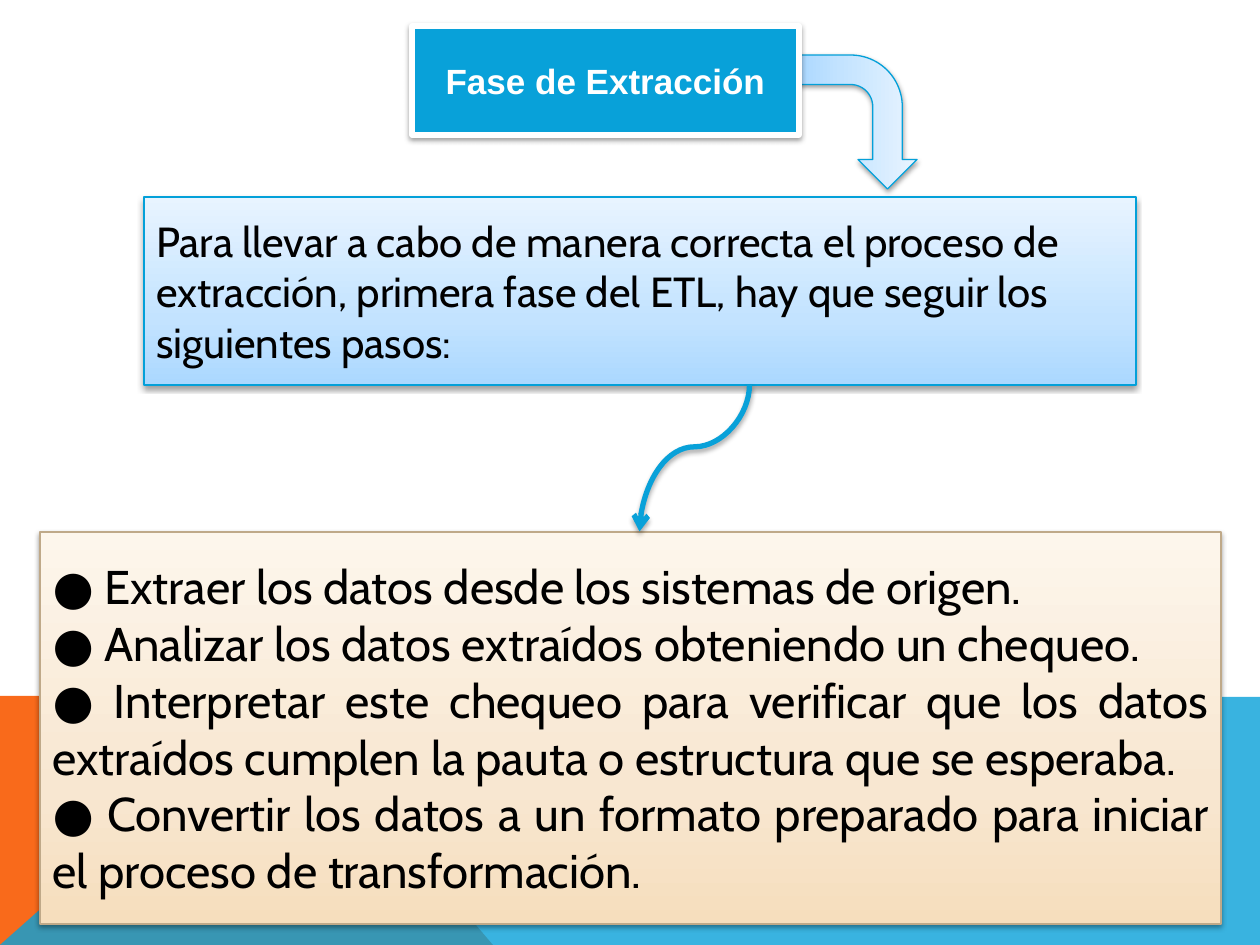
from dataclasses import dataclass

from lxml.etree import SubElement
from pptx import Presentation
from pptx.dml.color import RGBColor
from pptx.enum.shapes import MSO_CONNECTOR, MSO_SHAPE
from pptx.enum.text import MSO_ANCHOR, MSO_AUTO_SIZE, PP_ALIGN
from pptx.oxml.ns import qn
from pptx.util import Emu, Pt

EMU_PER_PX = 914400 / 126


@dataclass(frozen=True)
class Theme:
    blue: str = "08A1D9"
    blue_line: str = "03A0D9"
    orange: str = "F96A1B"
    tan_line: str = "BFA989"
    white: str = "FFFFFF"
    black: str = "000000"
    blue_gradient: tuple = ((0, "ABD8FF"), (35, "C3E3FF"), (100, "E8F4FF"))
    sand_gradient: tuple = ((0, "F6DEBD"), (35, "F8E7D1"), (100, "FDF6EC"))
    heading_font: str = "Arial"
    body_font: str = "Cabin"
    heading_size: int = 20
    intro_size: int = 24
    list_size: int = 27
    thin: float = 0.75
    thick: float = 3


THEME = Theme()

HEADING = "Fase de Extracción"
INTRO = ("Para llevar a cabo de manera correcta el proceso de extracción, "
         "primera fase del ETL, hay que seguir los siguientes pasos:")
STEPS = [
    "● Extraer los datos desde los sistemas de origen.",
    "● Analizar los datos extraídos obteniendo un chequeo.",
    "● Interpretar este chequeo para verificar que los datos extraídos "
    "cumplen la pauta o estructura que se esperaba.",
    "● Convertir los datos a un formato preparado para iniciar el proceso "
    "de transformación.",
]


def px(value):
    return Emu(round(value * EMU_PER_PX))


def add_xml(parent, tag, **attributes):
    return SubElement(parent, qn(tag), {k: str(v) for k, v in attributes.items()})


def place(shape, left, top, width, height):
    shape.left, shape.top = px(left), px(top)
    shape.width, shape.height = px(width), px(height)


def fill_solid(shape, color, opacity=100):
    shape.fill.solid()
    shape.fill.fore_color.rgb = RGBColor.from_string(color)
    if opacity < 100:
        color_element = shape.element.spPr.find(qn("a:solidFill"))[0]
        add_xml(color_element, "a:alpha", val=opacity * 1000)


def fill_gradient(shape, stops):
    """Run the stops from the bottom of the shape to its top."""
    shape.fill.gradient()
    gradient = shape.element.spPr.find(qn("a:gradFill"))
    for child in list(gradient):
        gradient.remove(child)
    gradient.set("rotWithShape", "1")
    stop_list = add_xml(gradient, "a:gsLst")
    for position, color in stops:
        stop = add_xml(stop_list, "a:gs", pos=position * 1000)
        add_xml(stop, "a:srgbClr", val=color)
    add_xml(gradient, "a:lin", ang=270 * 60000, scaled=0)


def outline(shape, color, width):
    shape.line.color.rgb = RGBColor.from_string(color)
    shape.line.width = Pt(width)


def drop_shadow(shape, opacity=38, distance=1.6):
    effects = add_xml(shape.element.spPr, "a:effectLst")
    shadow = add_xml(effects, "a:outerShdw", blurRad=Pt(3.1), dist=Pt(distance),
                     dir=90 * 60000, rotWithShape=0)
    color = add_xml(shadow, "a:srgbClr", val=THEME.black)
    add_xml(color, "a:alpha", val=opacity * 1000)


def write(shape, texts, font, size, color, alignment, bold=False):
    frame = shape.text_frame
    frame.word_wrap = True
    frame.auto_size = MSO_AUTO_SIZE.NONE
    frame.vertical_anchor = MSO_ANCHOR.MIDDLE
    for index, text in enumerate(texts):
        paragraph = frame.add_paragraph() if index else frame.paragraphs[0]
        paragraph.alignment = alignment
        paragraph.space_before = Pt(0)
        properties = paragraph._p.get_or_add_pPr()
        properties.set("marL", "0")
        properties.set("indent", "0")
        add_xml(properties, "a:buNone")
        run = paragraph.add_run()
        run.text = text
        run.font.name = font
        run.font.size = Pt(size)
        run.font.bold = bold
        run.font.color.rgb = RGBColor.from_string(color)


def add_band(slide, points, color, opacity=100):
    start, *others = [(px(x), px(y)) for x, y in points]
    builder = slide.shapes.build_freeform(*start)
    builder.add_line_segments(others, close=True)
    band = builder.convert_to_shape()
    band.shadow.inherit = False
    fill_solid(band, color, opacity)
    band.line.fill.background()


def add_blue_shape(slide, kind, left, top, width, height):
    shape = slide.shapes.add_shape(kind, px(left), px(top), px(width), px(height))
    fill_gradient(shape, THEME.blue_gradient)
    outline(shape, THEME.blue_line, THEME.thin)
    drop_shadow(shape)
    return shape


def format_heading(title):
    place(title, 412, 26, 387, 109)
    geometry = add_xml(title.element.spPr, "a:prstGeom", prst="roundRect")
    add_xml(geometry, "a:avLst")
    fill_solid(title, THEME.blue)
    outline(title, THEME.white, THEME.thick)
    drop_shadow(title)
    write(title, [HEADING], THEME.heading_font, THEME.heading_size,
          THEME.white, PP_ALIGN.CENTER, bold=True)


def format_steps(body):
    place(body, 40, 532, 1181, 392)
    fill_gradient(body, THEME.sand_gradient)
    outline(body, THEME.tan_line, THEME.thin)
    drop_shadow(body)
    write(body, STEPS, THEME.body_font, THEME.list_size,
          THEME.black, PP_ALIGN.JUSTIFY)


def add_curved_arrow(slide):
    """A quarter turn makes the curve leave and arrive vertically."""
    connector = slide.shapes.add_connector(MSO_CONNECTOR.CURVE, 0, 0, 0, 0)
    place(connector, 621, 403, 147, 110)
    properties = connector.element.spPr
    properties.find(qn("a:xfrm")).set("rot", str(90 * 60000))
    guides = properties.find(qn("a:prstGeom")).find(qn("a:avLst"))
    add_xml(guides, "a:gd", name="adj1", fmla="val 42400")
    outline(connector, THEME.blue, THEME.thick)
    add_xml(properties.find(qn("a:ln")), "a:tailEnd", type="arrow")
    drop_shadow(connector, opacity=35, distance=1.8)


def main():
    presentation = Presentation()
    presentation.slide_width, presentation.slide_height = px(1260), px(945)
    slide = presentation.slides.add_slide(presentation.slide_layouts[1])
    title, body = slide.placeholders

    # Coloured bands along the bottom
    add_band(slide, [(0, 945), (0, 696), (281, 696), (493, 945)], THEME.orange)
    add_band(slide, [(0, 945), (281, 696), (1260, 697), (1260, 945)],
             THEME.blue, opacity=80)

    # Bent arrow and introduction
    bent_arrow = add_blue_shape(slide, MSO_SHAPE.BENT_ARROW, 791, 63, 134, 118)
    bent_arrow.rotation = 90
    intro = add_blue_shape(slide, MSO_SHAPE.RECTANGLE, 144, 197, 992, 188)
    write(intro, [INTRO], THEME.body_font, THEME.intro_size,
          THEME.black, PP_ALIGN.LEFT)

    # Heading and steps, brought in front of the bands
    format_heading(title)
    format_steps(body)
    for placeholder in (title, body):
        slide.shapes._spTree.append(placeholder.element)

    # Arrow from the introduction to the steps
    add_curved_arrow(slide)
    presentation.save("out.pptx")


if __name__ == "__main__":
    main()
